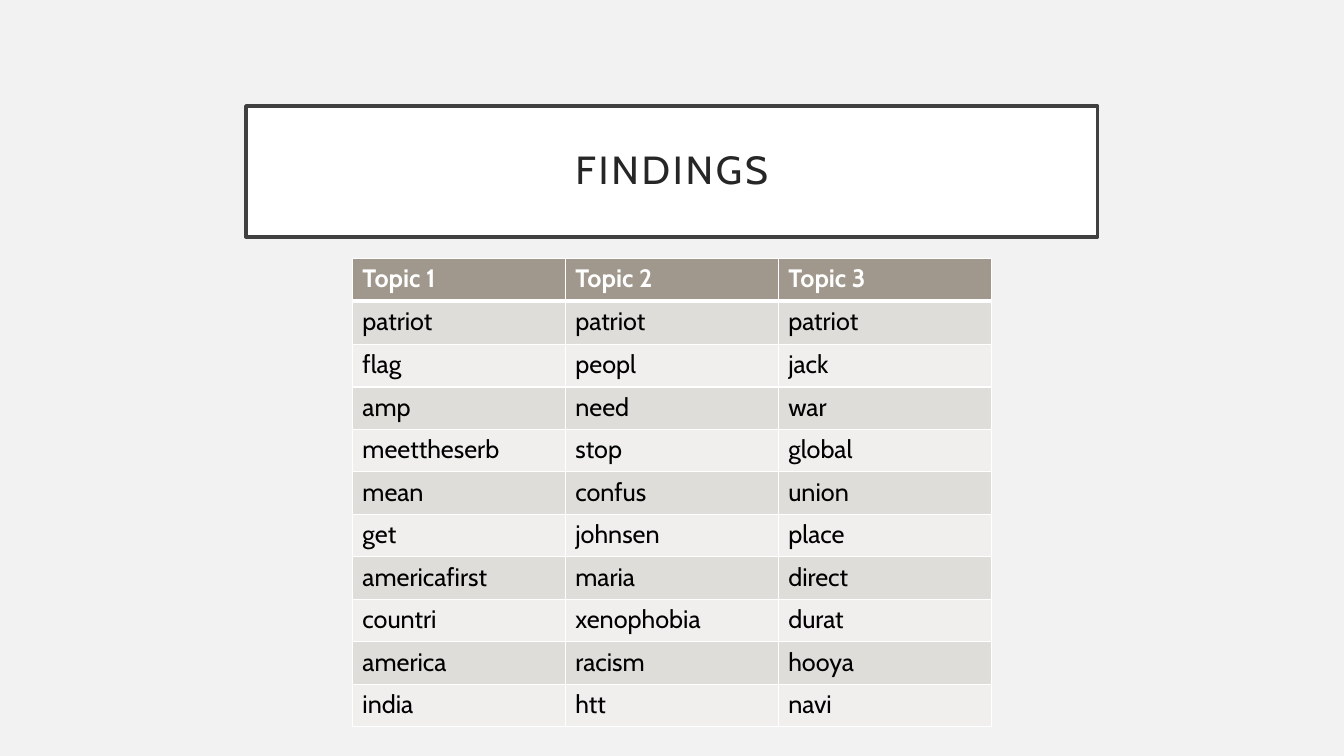
from lxml import etree
from pptx import Presentation
from pptx import util as u
from pptx.dml.color import RGBColor
from pptx.enum import text
from pptx.oxml import ns

FONT = "Cabin"
WHITE = "FFFFFF"
TOPICS = {
    "Topic 1": ["patriot", "flag", "amp", "meettheserb", "mean", "get",
                "americafirst", "countri", "america", "india"],
    "Topic 2": ["patriot", "peopl", "need", "stop", "confus", "johnsen",
                "maria", "xenophobia", "racism", "htt"],
    "Topic 3": ["patriot", "jack", "war", "global", "union", "place",
                "direct", "durat", "hooya", "navi"],
}


def color(value):
    """Turn a hex string into a colour."""
    return RGBColor.from_string(value)


def paint(target, value):
    """Give a shape, cell or background a solid fill."""
    target.fill.solid()
    target.fill.fore_color.rgb = color(value)


def write(frame, content, size=18, ink="000000", bold=False, align=None,
          line_spacing=None, tracking=None):
    """Write one formatted paragraph into a text frame."""
    paragraph = frame.paragraphs[0]
    paragraph.alignment = align
    paragraph.line_spacing = line_spacing
    run = paragraph.add_run()
    run.text = content
    run.font.name = FONT
    run.font.size = u.Pt(size)
    run.font.bold = bold
    run.font.color.rgb = color(ink)
    if tracking is not None:
        run._r.get_or_add_rPr().set("spc", str(tracking * 100))


def add_border(cell, side, width):
    """Add a white border to one side of a cell."""
    properties = cell._tc.get_or_add_tcPr()
    line = etree.SubElement(properties, ns.qn(f"a:ln{side}"), w=str(u.Pt(width)))
    fill = etree.SubElement(line, ns.qn("a:solidFill"))
    etree.SubElement(fill, ns.qn("a:srgbClr"), val=WHITE)


def format_title(title, content):
    """Place the title and give it a white framed box."""
    title.left, title.top = u.Cm(6.2), u.Cm(2.67)
    title.width, title.height = u.Cm(21.46), u.Cm(3.3)
    paint(title, WHITE)
    title.line.color.rgb = color("404040")
    title.line.width = u.Pt(2.5)
    frame = title.text_frame
    frame.word_wrap = True
    frame.auto_size = text.MSO_AUTO_SIZE.NONE
    frame.vertical_anchor = text.MSO_ANCHOR.MIDDLE
    frame.margin_left = frame.margin_right = u.Cm(0.5)
    frame.margin_top = frame.margin_bottom = u.Cm(0.5)
    write(frame, content, size=28, ink="262626", align=text.PP_ALIGN.CENTER,
          line_spacing=0.9, tracking=2)


def fill_cell(cell, content, row_index):
    """Write a topic cell with the borders and fill of its row."""
    header = row_index == 0
    widths = {"L": 1, "R": 1, "T": 3 if row_index == 1 else 1, "B": 3 if header else 1}
    for side, width in widths.items():
        add_border(cell, side, width)
    band = "DFDDDA" if row_index % 2 else "F0EFEE"
    paint(cell, "A0988C" if header else band)
    write(cell.text_frame, content, ink=WHITE if header else "000000", bold=header)


def add_topic_table(slide, topics):
    """Add a table with one column of words for each topic."""
    rows = [list(topics), *zip(*topics.values())]
    table = slide.shapes.add_table(
        len(rows), len(topics), u.Cm(8.88), u.Cm(6.51), u.Cm(16.1), u.Cm(11.83)).table
    for row_index, words in enumerate(rows):
        table.rows[row_index].height = u.Cm(1.1 if row_index == 1 else 1.07)
        for column_index, word in enumerate(words):
            fill_cell(table.cell(row_index, column_index), word, row_index)


def main():
    """Build and save the findings slide."""
    presentation = Presentation()
    presentation.slide_width = u.Cm(33.87)
    presentation.slide_height = u.Cm(19.05)
    slide = presentation.slides.add_slide(presentation.slide_layouts[5])
    paint(slide.background, "F2F2F2")
    format_title(slide.shapes.title, "FINDINGS")
    add_topic_table(slide, TOPICS)
    presentation.save("out.pptx")


if __name__ == "__main__":
    main()
